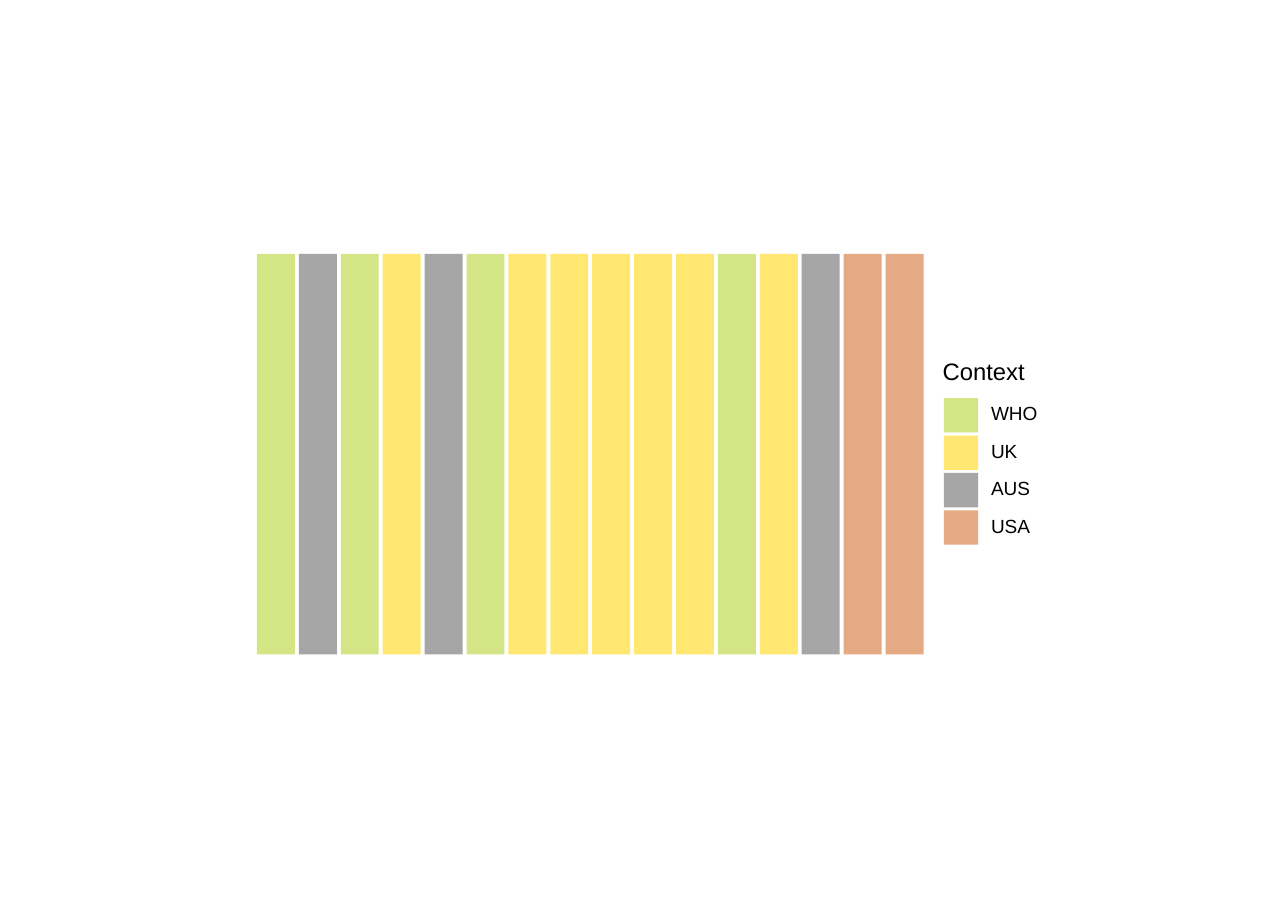
from pptx import Presentation
from pptx.dml.color import RGBColor
from pptx.enum.shapes import MSO_SHAPE
from pptx.enum.text import MSO_ANCHOR
from pptx.util import Cm, Pt

CONTEXT_COLORS = {"WHO": "D3E585", "UK": "FFE771", "AUS": "A6A6A6", "USA": "E3AA84"}
BAR_CONTEXTS = (
    "WHO AUS WHO UK AUS WHO UK UK UK UK UK WHO UK AUS USA USA"
).split()


def color(hex_value):
    return RGBColor.from_string(hex_value)


def add_rectangle(group, left, top, width, height, fill):
    rectangle = group.shapes.add_shape(
        MSO_SHAPE.RECTANGLE, Cm(left), Cm(top), Cm(width), Cm(height)
    )
    rectangle.shadow.inherit = False
    rectangle.fill.solid()
    rectangle.fill.fore_color.rgb = color(fill)
    rectangle.line.fill.background()
    return rectangle


def add_label(group, left, top, width, height, text, size):
    frame = group.shapes.add_textbox(
        Cm(left), Cm(top), Cm(width), Cm(height)
    ).text_frame
    frame.margin_left = frame.margin_right = 0
    frame.margin_top = frame.margin_bottom = 0
    frame.vertical_anchor = MSO_ANCHOR.MIDDLE
    frame.word_wrap = False
    frame.text = text
    para = frame.paragraphs[0]
    para.line_spacing = Pt(size)
    span = para.runs[0]
    span.font.name = "Arial"
    span.font.size = Pt(size)
    span.font.color.rgb = color("000000")


def add_panel(group, box):
    panel = add_rectangle(group, *box, "FFFFFF")
    panel.line.color.rgb = color("FFFFFF")
    panel.line.width = Pt(0.75)


def add_bars(group, box):
    left, top, width, height = box
    bar_width = 0.62
    pitch = (width - bar_width) / (len(BAR_CONTEXTS) - 1)
    for index, context in enumerate(BAR_CONTEXTS):
        add_rectangle(
            group, left + index * pitch, top, bar_width, height, CONTEXT_COLORS[context]
        )


def add_legend(group, box):
    left, top, width, height = box
    swatch = 0.56
    label_offset = 0.79
    first_row = 0.55
    pitch = (height - first_row - swatch) / (len(CONTEXT_COLORS) - 1)
    add_label(group, left, top, width, 0.28, "Context", 11)
    for index, (context, fill) in enumerate(CONTEXT_COLORS.items()):
        row_top = top + first_row + index * pitch
        add_rectangle(group, left + 0.02, row_top, swatch, swatch, fill)
        add_label(
            group, left + label_offset, row_top, width - label_offset, swatch, context, 8.8
        )


deck = Presentation()
deck.slide_width = Cm(21)
deck.slide_height = Cm(14.8)
page = deck.slides.add_slide(deck.slide_layouts[6])
figure = page.shapes.add_group_shape()
add_panel(figure, (4.09, 3.81, 12.83, 7.16))
add_bars(figure, (4.19, 4.14, 10.87, 6.53))
add_legend(figure, (15.37, 5.94, 1.55, 2.94))
deck.save("out.pptx")
